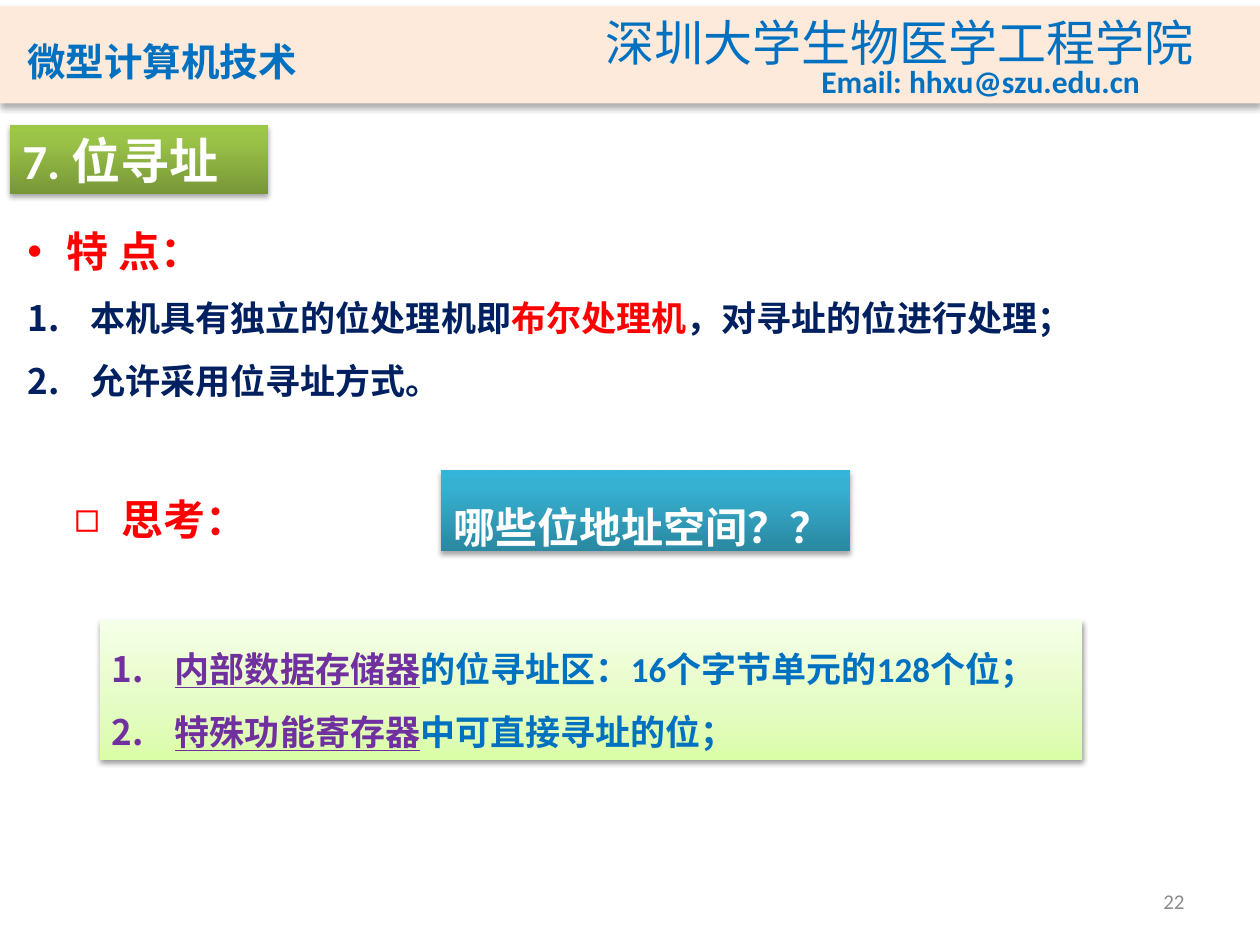
import pptx
import pptx.util
import pptx.dml.color
import pptx.enum.shapes
import pptx.enum.text
import pptx.oxml
import pptx.oxml.ns

LATIN, CJK, CJK_TITLE = "Calibri", "Noto Sans CJK SC", "Noto Sans CJK JP"
BLUE, NAVY, RED, PURPLE, WHITE = "0070C0", "002060", "FF0000", "7030A0", "FFFFFF"
GREEN_FADE = [(0, "779737"), (80, "9BC348"), (100, "9DC746")]
TEAL_FADE = [(0, "2A88A2"), (80, "37B1D2"), (100, "34B4D6")]
LIME_FADE = [(0, "DAFDA7"), (35, "E4FCC2"), (100, "F5FFE7")]
TOP = pptx.enum.text.MSO_ANCHOR.TOP
MIDDLE = pptx.enum.text.MSO_ANCHOR.MIDDLE
BOTTOM = pptx.enum.text.MSO_ANCHOR.BOTTOM
LEFT = pptx.enum.text.PP_ALIGN.LEFT
RIGHT = pptx.enum.text.PP_ALIGN.RIGHT


def rgb(value):
    """Turn a hex string into a colour."""
    return pptx.dml.color.RGBColor.from_string(value)


def element(tag, **attributes):
    """Make a DrawingML element."""
    node = pptx.oxml.parse_xml(f"<a:{tag} {pptx.oxml.ns.nsdecls('a')}/>")
    for name, value in attributes.items():
        node.set(name, str(value))
    return node


def place(prs, x, y, w, h):
    """Turn percentages of the slide into left, top, width and height."""
    sw, sh = prs.slide_width, prs.slide_height
    return [int(share * side / 100) for share, side in ((x, sw), (y, sh), (w, sw), (h, sh))]


def set_shadow(sp, alpha, blur, dist):
    """Give a shape a soft black shadow that falls downwards."""
    sp.shadow.inherit = False
    outer = element("outerShdw", blurRad=pptx.util.Pt(blur), dist=pptx.util.Pt(dist),
                    dir=90 * 60000, algn="ctr", rotWithShape=0)
    color = element("srgbClr", val="000000")
    color.append(element("alpha", val=alpha * 1000))
    outer.append(color)
    sp._element.spPr.find(pptx.oxml.ns.qn("a:effectLst")).append(outer)


def set_gradient(sp, stops):
    """Fill a shape with colour stops that run from bottom to top."""
    sp.fill.gradient()
    sp.fill.gradient_angle = 90
    stop_list = sp._element.spPr.find(".//" + pptx.oxml.ns.qn("a:gsLst"))
    stop_list.clear()
    for position, color in stops:
        stop = element("gs", pos=position * 1000)
        stop.append(element("srgbClr", val=color))
        stop_list.append(stop)


def add_panel(prs, s, box, fill, shadow):
    """Add a shadowed rectangle with a plain or gradient fill."""
    sp = s.shapes.add_shape(pptx.enum.shapes.MSO_SHAPE.RECTANGLE, *place(prs, *box))
    if isinstance(fill, str):
        sp.fill.solid()
        sp.fill.fore_color.rgb = rgb(fill)
    else:
        set_gradient(sp, fill)
    sp.line.fill.background()
    set_shadow(sp, *shadow)
    return sp


def set_bullet(p, bullet, indent):
    """Give a paragraph a hanging bullet, or a number when the bullet is 1."""
    pPr = p._p.get_or_add_pPr()
    pPr.set("marL", str(pptx.util.Inches(indent)))
    pPr.set("indent", str(-pptx.util.Inches(indent)))
    if bullet == "1.":
        pPr.append(element("buAutoNum", type="arabicPeriod"))
    else:
        pPr.append(element("buFont", typeface="Arial"))
        pPr.append(element("buChar", char=bullet))


def format_run(r, size, color, bold=True, underline=False, latin=LATIN, cjk=CJK):
    """Set the look of a run, with fonts for both scripts."""
    r.font.size = pptx.util.Pt(size)
    r.font.bold = bold
    r.font.underline = underline
    r.font.color.rgb = rgb(color)
    r.font.name = latin
    r.font._element.find(pptx.oxml.ns.qn("a:latin")).addnext(element("ea", typeface=cjk))


def prepare(sp, anchor=TOP):
    """Set up the text frame of a shape and return it."""
    tf = sp.text_frame
    tf.word_wrap = True
    tf.vertical_anchor = anchor
    return tf


def add_label(prs, s, box, text, size, color, anchor=TOP, align=LEFT, **look):
    """Add a text box with one line."""
    tf = prepare(s.shapes.add_textbox(*place(prs, *box)), anchor)
    write_line(tf, text, size, color, align=align, **look)


def write_line(tf, text, size, color, spacing=1.0, align=LEFT, **look):
    """Write a single line into a text frame."""
    tf.text = text
    p = tf.paragraphs[0]
    p.alignment = align
    p.line_spacing = spacing
    format_run(p.runs[0], size, color, **look)


def write_list(tf, items):
    """Write bulleted paragraphs of (bullet, indent, spacing, size, runs)."""
    for i, (bullet, indent, spacing, size, runs) in enumerate(items):
        p = tf.add_paragraph() if i else tf.paragraphs[0]
        p.alignment = LEFT
        p.line_spacing = spacing
        set_bullet(p, bullet, indent)
        for text, color, underline in runs:
            r = p.add_run()
            r.text = text
            format_run(r, size, color, underline=underline)


def numbered(*runs):
    """Describe a numbered item made of runs."""
    return "1.", 0.5, 1.5, 20, runs


def add_header(prs, s):
    """Add the band with course, school and address."""
    add_panel(prs, s, (0, 0.67, 100, 10.27), "FDEADA", (32, 3.5, 2.2))
    add_label(prs, s, (1.2, 2.13, 33.9, 7.47), "微型计算机技术", 22, BLUE,
              anchor=BOTTOM, latin=CJK_TITLE, cjk=CJK_TITLE)
    add_label(prs, s, (47.1, 0.67, 49.1, 7.6), "深圳大学生物医学工程学院", 28, BLUE,
              bold=False, latin=CJK)
    add_label(prs, s, (64.2, 5.87, 27.5, 5.33), "Email: hhxu@szu.edu.cn", 18, BLUE)


def main():
    """Build the slide and save it."""
    prs = pptx.Presentation()
    prs.slide_width, prs.slide_height = pptx.util.Inches(10), pptx.util.Inches(7.5)
    s = prs.slides.add_slide(prs.slide_layouts[6])
    add_header(prs, s)
    add_label(prs, s, (71.7, 92.67, 23.3, 5.33), "22", 12, "8C8C8C",
              anchor=MIDDLE, align=RIGHT, bold=False)

    heading = add_panel(prs, s, (0.8, 13.2, 20.5, 7.33), GREEN_FADE, (35, 3.1, 1.8))
    write_line(prepare(heading), "7. 位寻址", 28, WHITE)

    features = s.shapes.add_textbox(*place(prs, 1.2, 22.13, 98, 21.33))
    write_list(prepare(features), [
        ("•", 0.31, 1.2, 24, [("特 点：", RED, False)]),
        numbered(("本机具有独立的位处理机即", NAVY, False), ("布尔处理机", RED, False),
                 ("，对寻址的位进行处理；", NAVY, False)),
        numbered(("允许采用位寻址方式。", NAVY, False)),
    ])

    think = s.shapes.add_textbox(*place(prs, 4.9, 51.6, 16, 6.67))
    write_list(prepare(think), [("◻", 0.38, 1.0, 24, [("思考：", RED, False)])])

    answer = add_panel(prs, s, (7.9, 65.6, 78, 14.8), LIME_FADE, (38, 3.1, 1.6))
    write_list(prepare(answer), [
        numbered(("内部数据存储器", PURPLE, True),
                 ("的位寻址区：16个字节单元的128个位；", BLUE, False)),
        numbered(("特殊功能寄存器", PURPLE, True), ("中可直接寻址的位；", BLUE, False)),
    ])

    question = add_panel(prs, s, (35, 49.73, 32.5, 8.53), TEAL_FADE, (35, 3.1, 1.8))
    write_line(prepare(question), "哪些位地址空间？？", 24, WHITE, spacing=1.5)
    prs.save("out.pptx")


if __name__ == "__main__":
    main()
